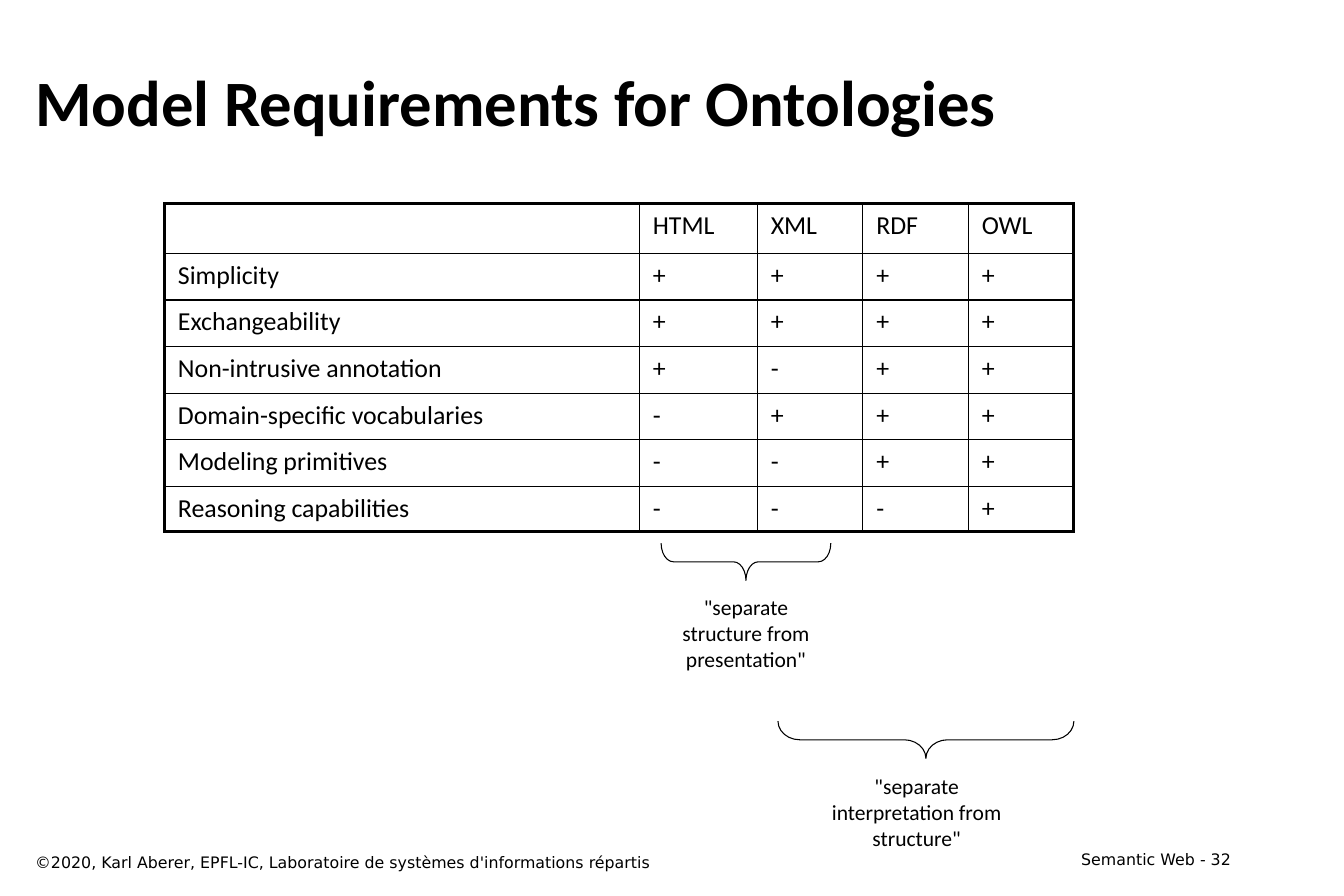
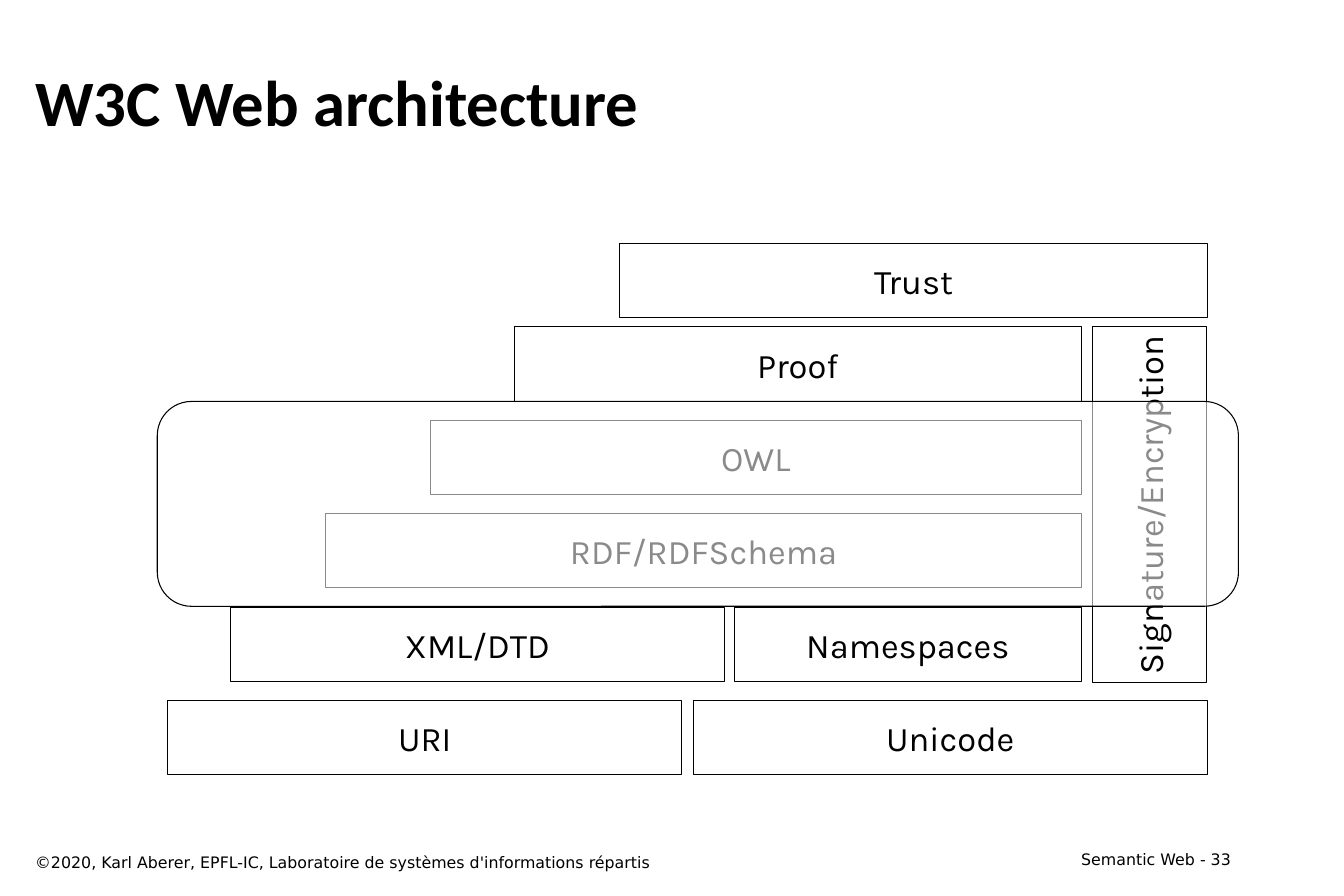
from lxml import etree
from pptx import Presentation
from pptx.dml.color import RGBColor
from pptx.enum.shapes import MSO_SHAPE
from pptx.enum.text import MSO_ANCHOR, MSO_AUTO_SIZE, PP_ALIGN
from pptx.oxml.ns import qn
from pptx.util import Inches, Pt

LEFT, CENTER, RIGHT = PP_ALIGN.LEFT, PP_ALIGN.CENTER, PP_ALIGN.RIGHT
TOP, MIDDLE = MSO_ANCHOR.TOP, MSO_ANCHOR.MIDDLE
NO_AUTOFIT = MSO_AUTO_SIZE.NONE
RECTANGLE, ROUNDED = MSO_SHAPE.RECTANGLE, MSO_SHAPE.ROUNDED_RECTANGLE
LEFT_BRACE = MSO_SHAPE.LEFT_BRACE

BLACK, WHITE = "000000", "FFFFFF"
BODY_FONT, FOOTER_FONT, DIAGRAM_FONT = "Calibri", "DejaVu Sans", "Karla"
TITLE_ONLY = 5
FIRST_PAGE = 32
COPYRIGHT = "©2020, Karl Aberer, EPFL-IC, Laboratoire de systèmes d'informations répartis"
TITLE_AREA = (0.22, 0.39, 11.8, 1.16)
COPYRIGHT_AREA = (0.22, 8.18, 8.34, 0.29)
PAGE_AREA = (9.31, 8.15, 2.71, 0.29)

REQUIREMENTS = [
    ("", "HTML", "XML", "RDF", "OWL"),
    ("Simplicity", "+", "+", "+", "+"),
    ("Exchangeability", "+", "+", "+", "+"),
    ("Non-intrusive annotation", "+", "-", "+", "+"),
    ("Domain-specific vocabularies", "-", "+", "+", "+"),
    ("Modeling primitives", "-", "-", "+", "+"),
    ("Reasoning capabilities", "-", "-", "-", "+"),
]
TABLE_LEFT, TABLE_TOP = 1.59, 1.97
COLUMN_WIDTHS = [4.59, 1.14, 1.02, 1.02, 1.02]
ROW_HEIGHTS = [0.48] + [0.45] * 5 + [0.44]
INNER_BORDER, OUTER_BORDER = 1, 2.25

# brace area before its quarter turn, brace curve, note area, note
SEPARATIONS = [
    ((7.03, 4.61, 0.36, 1.64), 0.334, (6.49, 5.69, 1.44, 0.86),
     '"separate\vstructure from\vpresentation"'),
    ((8.77, 5.72, 0.36, 2.86), 0.585, (7.93, 7.42, 1.86, 0.86),
     '"separate\vinterpretation from\vstructure"'),
]

LAYER_HEIGHT = 0.72
# layer top, then label, left and width of its blocks
LAYERS = [
    (6.77, [("URI", 1.62, 4.97), ("Unicode", 6.7, 4.97)]),
    (5.87, [("XML/DTD", 2.23, 4.77), ("Namespaces", 7.1, 3.35)]),
    (4.96, [("RDF/RDFSchema", 3.15, 7.3)]),
    (4.06, [("OWL", 4.16, 6.29)]),
    (3.16, [("Proof", 4.97, 5.48)]),
    (2.35, [("Trust", 5.99, 5.68)]),
]
SIGNATURE_AREA = (10.56, 3.16, 1.1, 3.44)
ONTOLOGY_AREA = (1.52, 3.88, 10.45, 1.98)
ONTOLOGY_OPACITY = 54


def color(hex_code):
    return RGBColor.from_string(hex_code)


def inches(area):
    return [Inches(length) for length in area]


def write(frame, text, size, font, align=LEFT, anchor=TOP, bold=False,
          margins=(0.12, 0.06), wrap=True):
    frame.auto_size = NO_AUTOFIT
    frame.word_wrap = wrap
    frame.vertical_anchor = anchor
    frame.margin_left = frame.margin_right = Inches(margins[0])
    frame.margin_top = frame.margin_bottom = Inches(margins[1])
    frame.text = text
    style(frame.paragraphs[0], size, font, align, bold)


def style(para, size, font, align=LEFT, bold=False):
    para.alignment = align
    para.font.size = Pt(size)
    para.font.name = font
    para.font.bold = bold
    para.font.color.rgb = color(BLACK)


def add_text(page, area, text, size, font, **options):
    box = page.shapes.add_textbox(*inches(area))
    write(box.text_frame, text, size, font, **options)


def add_outlined(page, kind, area, fill=None):
    shape = page.shapes.add_shape(kind, *inches(area))
    shape.shadow.inherit = False
    shape.line.color.rgb = color(BLACK)
    shape.line.width = Pt(0.75)
    if fill:
        shape.fill.solid()
        shape.fill.fore_color.rgb = color(fill)
    else:
        shape.fill.background()
    return shape


def add_block(page, area, label):
    block = add_outlined(page, RECTANGLE, area, WHITE)
    write(block.text_frame, label, 24, DIAGRAM_FONT, CENTER, MIDDLE)
    return block


def add_page(deck, title):
    """Add a slide with its title, page number and copyright line."""
    page = deck.slides.add_slide(deck.slide_layouts[TITLE_ONLY])
    heading = page.shapes.title
    heading.left, heading.top, heading.width, heading.height = inches(TITLE_AREA)
    write(heading.text_frame, title, 45, BODY_FONT, anchor=MIDDLE, bold=True)
    number = FIRST_PAGE + len(deck.slides) - 1
    add_text(page, PAGE_AREA, f"Semantic Web - {number}", 11, FOOTER_FONT, align=RIGHT)
    add_text(page, COPYRIGHT_AREA, COPYRIGHT, 11, FOOTER_FONT)
    return page


def set_borders(cell, widths):
    """Draw the borders, with widths in the order left, right, top, bottom."""
    properties = cell._tc.get_or_add_tcPr()
    for side, width in zip("LRTB", widths):
        border = etree.SubElement(properties, qn(f"a:ln{side}"), w=str(Pt(width)))
        fill = etree.SubElement(border, qn("a:solidFill"))
        etree.SubElement(fill, qn("a:srgbClr"), val=BLACK)


def add_requirements_table(page):
    row_count, column_count = len(REQUIREMENTS), len(COLUMN_WIDTHS)
    area = (TABLE_LEFT, TABLE_TOP, sum(COLUMN_WIDTHS), sum(ROW_HEIGHTS))
    table = page.shapes.add_table(row_count, column_count, *inches(area)).table
    table.first_row = table.horz_banding = False
    for column, width in zip(table.columns, COLUMN_WIDTHS):
        column.width = Inches(width)
    for i, (row, texts) in enumerate(zip(table.rows, REQUIREMENTS)):
        row.height = Inches(ROW_HEIGHTS[i])
        for j, (cell, text) in enumerate(zip(row.cells, texts)):
            cell.margin_left = cell.margin_right = Inches(0.13)
            cell.margin_top = cell.margin_bottom = Inches(0.06)
            cell.text = text
            style(cell.text_frame.paragraphs[0], 18, BODY_FONT)
            on_edge = (j == 0, j == column_count - 1, i == 0, i == row_count - 1)
            set_borders(cell, [OUTER_BORDER if edge else INNER_BORDER for edge in on_edge])
            cell.fill.background()


def build_requirements(deck):
    page = add_page(deck, "Model Requirements for Ontologies")
    add_requirements_table(page)
    for brace_area, curve, note_area, note in SEPARATIONS:
        brace = add_outlined(page, LEFT_BRACE, brace_area)
        brace.adjustments[0] = curve
        brace.rotation = 270
        add_text(page, note_area, note, 15, BODY_FONT, align=CENTER,
                 margins=(0.1, 0.05), wrap=False)


def build_architecture(deck):
    page = add_page(deck, "W3C Web architecture")
    for top, blocks in LAYERS:
        for label, left, width in blocks:
            add_block(page, (left, top, width, LAYER_HEIGHT), label)
    signature = add_block(page, SIGNATURE_AREA, "Signature/Encryption")
    signature.element.txBody.find(qn("a:bodyPr")).set("vert", "vert270")

    veil = add_outlined(page, ROUNDED, ONTOLOGY_AREA, WHITE)
    veil_color = veil.element.spPr.find(qn("a:solidFill")).find(qn("a:srgbClr"))
    etree.SubElement(veil_color, qn("a:alpha"), val=str(ONTOLOGY_OPACITY * 1000))


def main():
    deck = Presentation()
    deck.slide_width, deck.slide_height = Inches(12.99), Inches(8.66)
    build_requirements(deck)
    build_architecture(deck)
    deck.save("out.pptx")


if __name__ == "__main__":
    main()
